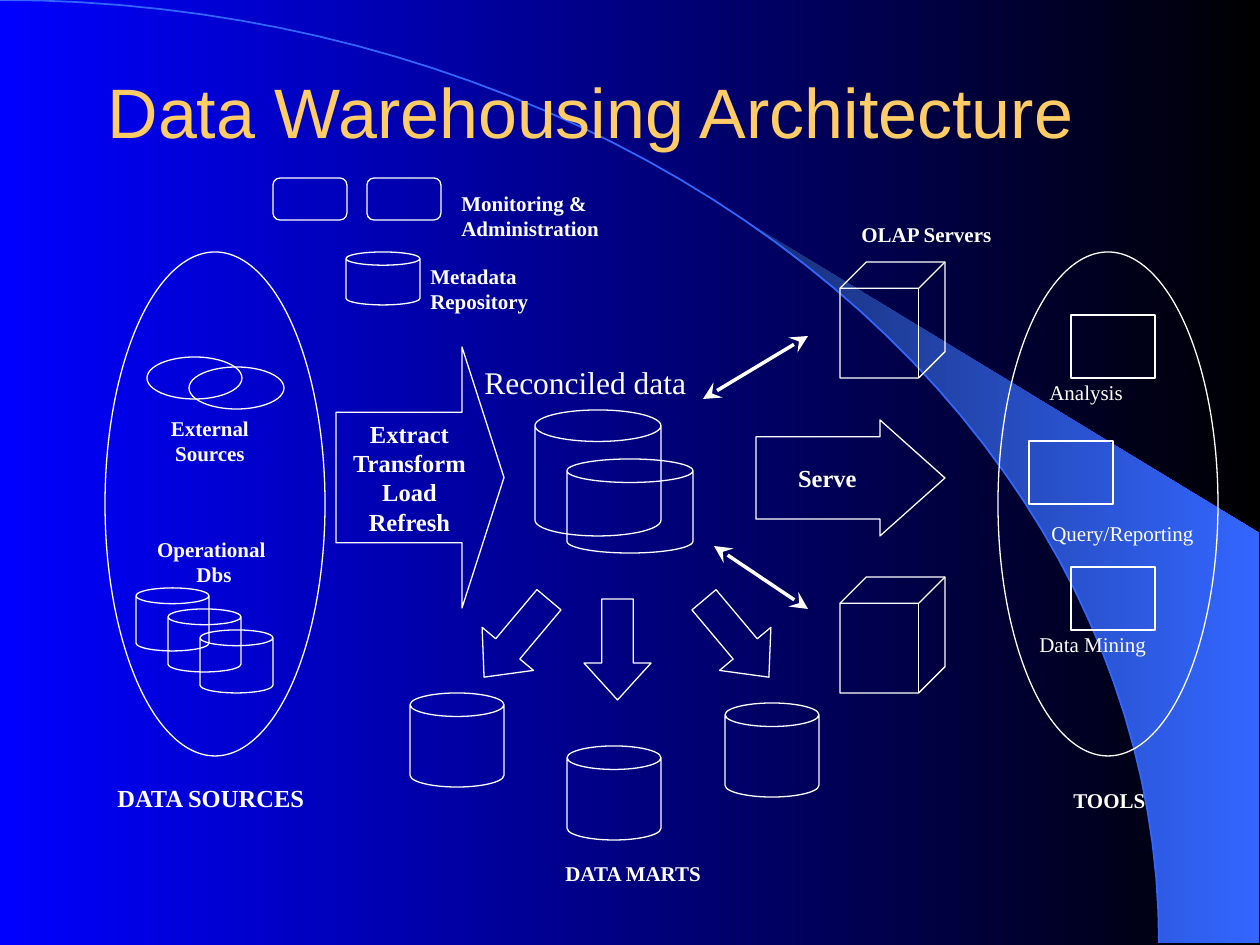
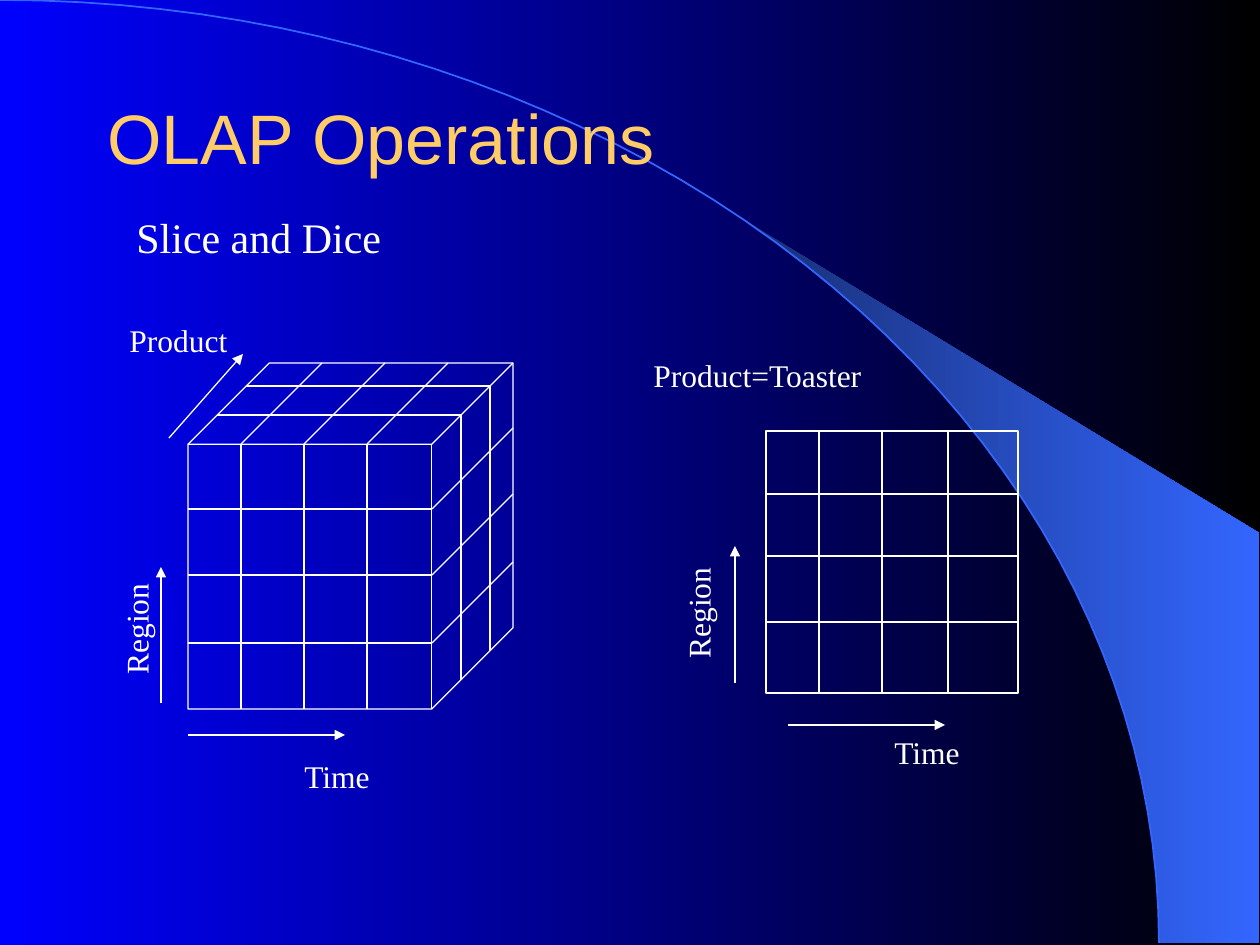
from math import cos, radians, sin

from lxml import etree
from pptx import Presentation
from pptx.dml.color import RGBColor
from pptx.enum.shapes import MSO_CONNECTOR, MSO_SHAPE
from pptx.enum.text import MSO_ANCHOR, PP_ALIGN
from pptx.oxml.ns import qn
from pptx.util import Pt

# Shared look
BLUE = RGBColor(0x00, 0x00, 0xFF)
BLACK = RGBColor(0x00, 0x00, 0x00)
WHITE = RGBColor(0xFF, 0xFF, 0xFF)
GOLD = RGBColor(0xFF, 0xCC, 0x66)
SKY = RGBColor(0x33, 0x66, 0xFF)
NAVY = RGBColor(0x18, 0x2F, 0x76)
TITLE_FONT = "Arial"
BODY_FONT = "Times New Roman"
EMU_PER_PX = 914400 / 126
TITLE_ONLY = 5
ARC_W, ARC_H = 1159, 943

CAN, CUBE, OVAL = MSO_SHAPE.CAN, MSO_SHAPE.CUBE, MSO_SHAPE.OVAL
RECT, ROUNDED = MSO_SHAPE.RECTANGLE, MSO_SHAPE.ROUNDED_RECTANGLE
RIGHT_ARROW, DOWN_ARROW = MSO_SHAPE.RIGHT_ARROW, MSO_SHAPE.DOWN_ARROW
STRAIGHT = MSO_CONNECTOR.STRAIGHT
LEFT, CENTER = PP_ALIGN.LEFT, PP_ALIGN.CENTER
TOP, MIDDLE = MSO_ANCHOR.TOP, MSO_ANCHOR.MIDDLE


def px(*values):
    return [round(v * EMU_PER_PX) for v in values]


def gradient(fill, start, end):
    fill.gradient()
    fill.gradient_angle = 0
    for stop, color in zip(fill.gradient_stops, (start, end)):
        stop.color.rgb = color


def write(tf, lines, size, font=BODY_FONT, color=WHITE, bold=False,
          align=LEFT, anchor=TOP):
    tf.word_wrap = True
    tf.vertical_anchor = anchor
    for i, text in enumerate(lines):
        p = tf.add_paragraph() if i else tf.paragraphs[0]
        p.alignment = align
        r = p.add_run()
        r.text = text
        r.font.name = font
        r.font.size = Pt(size)
        r.font.bold = bold
        r.font.color.rgb = color


def outline(s, kind, x, y, w, h, adj=(), rotation=0):
    sp = s.shapes.add_shape(kind, *px(x, y, w, h))
    sp.shadow.inherit = False
    sp.fill.background()
    sp.line.color.rgb = WHITE
    sp.line.width = Pt(0.75)
    sp.rotation = rotation
    for i, value in enumerate(adj):
        sp.adjustments[i] = value
    return sp


def label(s, text, x, y, w, h, size=12, rotation=0, **style):
    sp = s.shapes.add_textbox(*px(x, y, w, h))
    sp.rotation = rotation
    write(sp.text_frame, text.split("\n"), size, **style)


def line(s, x1, y1, x2, y2, width=0.75, head=None, tail=None, size="med"):
    c = s.shapes.add_connector(STRAIGHT, *px(x1, y1, x2, y2))
    c.line.color.rgb = WHITE
    c.line.width = Pt(width)
    for tag, arrow in (("a:headEnd", head), ("a:tailEnd", tail)):
        if arrow:
            etree.SubElement(c.get_or_add_ln(), qn(tag), type=arrow,
                             w=size, len=size)
    etree.SubElement(c.element.spPr, qn("a:effectLst"))


def freeform(s, points, close):
    points = [px(*point) for point in points]
    builder = s.shapes.build_freeform(*points[0], scale=1.0)
    builder.add_line_segments(points[1:], close=close)
    sp = builder.convert_to_shape()
    sp.shadow.inherit = False
    return sp


def arc_points(start):
    angles = [radians(a) for a in range(start, 91, 2)]
    return [(ARC_W * sin(a), ARC_H * (1 - cos(a))) for a in angles]


def build_master(prs, s):
    """Draw the shared wedge and arc, then hang them on the master."""
    master = prs.slide_master
    gradient(master.background.fill, BLUE, BLACK)
    wedge = freeform(s, arc_points(40) + [(1259, 943), (1259, 533)], True)
    gradient(wedge.fill, NAVY, SKY)
    wedge.line.fill.background()
    arc = freeform(s, arc_points(0), False)
    arc.fill.background()
    arc.line.color.rgb = SKY
    arc.line.width = Pt(1)
    for shape_id, sp in enumerate((wedge, arc), start=101):
        sp.element.nvSpPr.cNvPr.set("id", str(shape_id))
        master.shapes.element.append(sp.element)


def set_title(s, text, y, h):
    title = s.shapes.title
    title.left, title.top, title.width, title.height = px(95, y, 1071, h)
    write(title.text_frame, [text], 40, TITLE_FONT, GOLD, anchor=MIDDLE)


def architecture_slide(s):
    set_title(s, "Data Warehousing Architecture", 63, 95)

    # Data sources and tools
    for x in (105, 998):
        outline(s, OVAL, x, 252, 220, 504)
    for x, y in ((147, 357), (189, 367)):
        outline(s, OVAL, x, y, 95, 42)
    for i in range(3):
        outline(s, CAN, 136 + 32 * i, 588 + 21 * i, 73, 63)
    for x, y in ((1071, 315), (1029, 441), (1071, 567)):
        outline(s, RECT, x, y, 84, 63)

    # Monitoring and metadata
    for x in (273, 367):
        outline(s, ROUNDED, x, 178, 74, 42)
    outline(s, CAN, 346, 252, 74, 53)

    # Warehouse, data marts and servers
    outline(s, CAN, 535, 410, 126, 126)
    outline(s, CAN, 567, 459, 126, 94)
    for x, y in ((410, 693), (567, 746), (725, 703)):
        outline(s, CAN, x, y, 94, 94)
    for y in (262, 577):
        outline(s, CUBE, 840, y, 105, 116)

    # Flow arrows
    for x, y, rotation in ((483, 588, 40), (584, 599, 0), (703, 588, 320)):
        outline(s, DOWN_ARROW, x, y, 67, 101, (0.47, 0.55), rotation)
    load = outline(s, RIGHT_ARROW, 336, 347, 168, 261, (0.5, 0.25))
    serve = outline(s, RIGHT_ARROW, 756, 420, 189, 116, (0.71, 0.56))
    for sp, text in ((load, "Extract Transform Load Refresh"),
                     (serve, "Serve")):
        write(sp.text_frame, [text], 14, bold=True, align=CENTER,
              anchor=MIDDLE)
    for ends in ((703, 399, 808, 336), (714, 546, 808, 609)):
        line(s, *ends, width=2, head="stealth", tail="stealth", size="lg")

    # Labels
    for text, x, y, w in (("External\nSources", 140, 409, 140),
                          ("Operational \nDbs", 134, 530, 160)):
        label(s, text, x, y, w, 63, bold=True, align=CENTER)
    for text, x, y, w, h in (
            ("Monitoring &\nAdministration", 449, 184, 180, 63),
            ("Metadata\nRepository", 418, 257, 150, 63),
            ("TOOLS", 1061, 781, 120, 38),
            ("DATA MARTS", 553, 854, 190, 38),
            ("OLAP Servers", 849, 215, 180, 38)):
        label(s, text, x, y, w, h, bold=True)
    label(s, "DATA SOURCES", 105, 777, 240, 43, 14, bold=True)
    for text, x, y in (("Analysis", 1037, 373),
                       ("Query/Reporting", 1039, 514),
                       ("Data Mining", 1027, 625)):
        label(s, text, x, y, 190, 38)
    label(s, "Reconciled data", 472, 357, 262, 50, 18)


def olap_slide(s):
    set_title(s, "OLAP Operations", 84, 105)
    label(s, "Slice and Dice", 124, 205, 300, 63, 24)

    # Cube: front face, with the depth running up to the right
    left, right, top, bottom, depth = 188, 432, 444, 709, 81
    outline(s, CUBE, left, top - depth, right - left + depth,
            bottom - top + depth)
    for x in (241, 304, 367):
        line(s, x, top, x, bottom)
        line(s, x, top, x + depth, top - depth)
    for y in (509, 575, 643):
        line(s, left, y, right, y)
        line(s, right, y, right + depth, y - depth)
    for d in (29, 58):
        line(s, left + d, top - d, right + d, top - d)
        line(s, right + d, top - d, right + d, bottom - d)

    # Slice
    left, right, top, bottom = 766, 1018, 431, 693
    outline(s, RECT, left, top, right - left, bottom - top)
    for x in (819, 882, 948):
        line(s, x, top, x, bottom)
    for y in (494, 556, 622):
        line(s, left, y, right, y)

    # Axes
    for ends in ((188, 735, 345, 735), (161, 703, 161, 567),
                 (169, 438, 243, 354), (788, 725, 945, 725),
                 (735, 683, 735, 546)):
        line(s, *ends, tail="triangle")
    for x, y in ((292, 751), (882, 727)):
        label(s, "Time", x, y, 113, 50, 18)
    for x, y in ((68, 594), (630, 578)):
        label(s, "Region", x, y, 136, 50, 18, rotation=270)
    label(s, "Product", 117, 315, 150, 50, 18)
    label(s, "Product=Toaster", 641, 350, 260, 50, 18)


def main():
    prs = Presentation()
    prs.slide_width, prs.slide_height = px(1260, 945)
    slides = [prs.slides.add_slide(prs.slide_layouts[TITLE_ONLY])
              for _ in range(2)]
    build_master(prs, slides[0])
    architecture_slide(slides[0])
    olap_slide(slides[1])
    prs.save("out.pptx")


if __name__ == "__main__":
    main()
